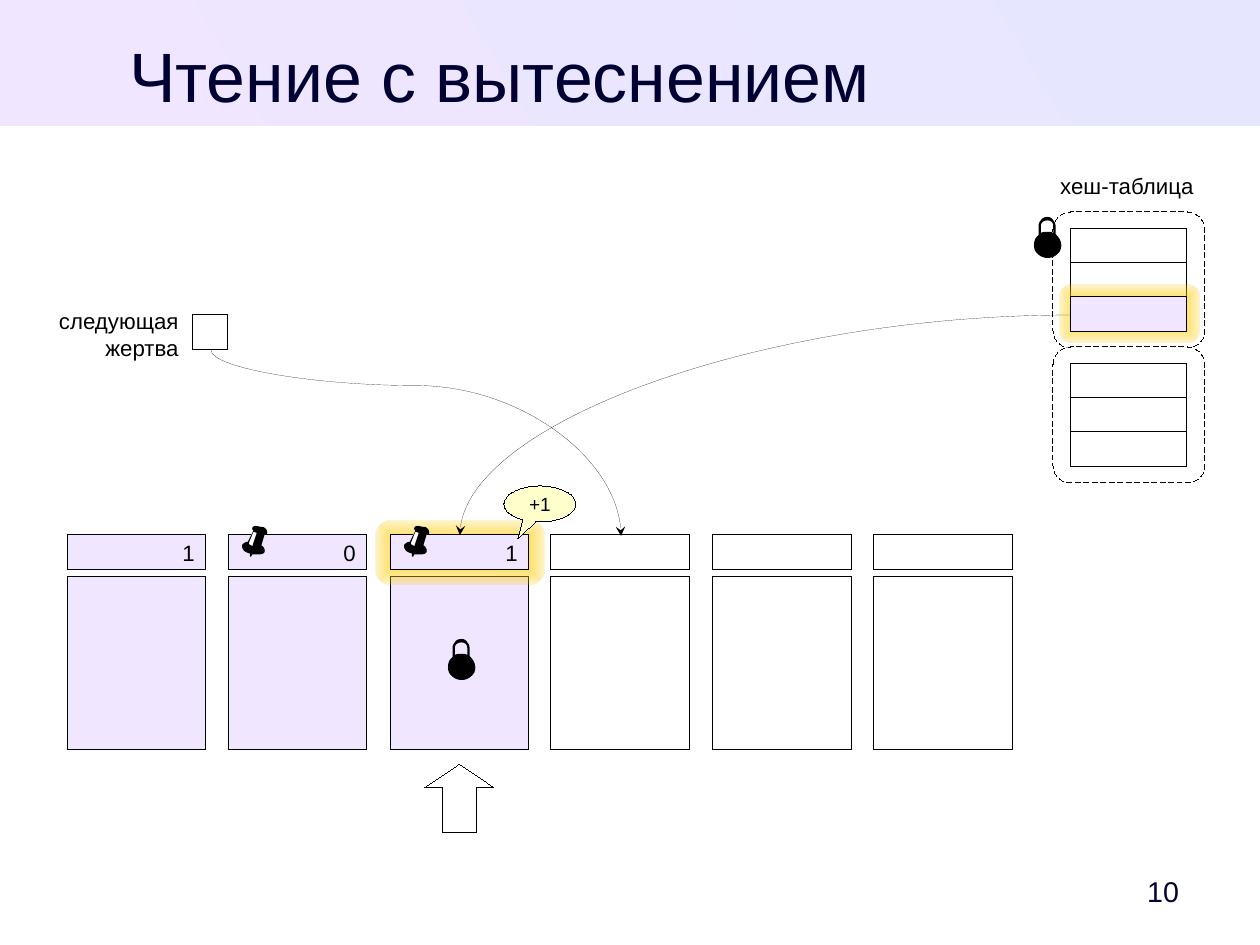
from lxml.etree import SubElement
from pptx import Presentation
from pptx.dml.color import RGBColor
from pptx.enum.dml import MSO_LINE
from pptx.enum.shapes import MSO_CONNECTOR, MSO_SHAPE
from pptx.enum.text import MSO_ANCHOR, MSO_AUTO_SIZE, PP_ALIGN
from pptx.oxml import parse_xml
from pptx.oxml.ns import nsdecls, qn
from pptx.util import Pt

PX = 8000
ZOOM = 1.14
LILAC, WHITE, BLACK, NAVY = "F0E6FF", "FFFFFF", "000000", "000033"

GLOW = f"""<a:gradFill {nsdecls("a")} rotWithShape="1"><a:gsLst>
<a:gs pos="0"><a:srgbClr val="FFCC00"/></a:gs>
<a:gs pos="100000"><a:srgbClr val="FFCC00"><a:alpha val="20000"/></a:srgbClr></a:gs>
</a:gsLst><a:path path="rect">
<a:fillToRect l="50000" t="50000" r="50000" b="50000"/></a:path></a:gradFill>"""

PIN = [
    [(8, 27), (7, 27), (7, 24), (5, 24, 4, 23, 2, 22), (1, 21, 0, 19, 0, 18),
     (0, 17, 0, 16, 2, 15), (3, 14, 4, 14, 5, 14), (10, 4), (9, 3, 9, 3, 9, 2),
     (9, 1, 10, 0, 12, 0), (14, 0, 16, 1, 19, 1), (21, 2, 22, 4, 22, 5),
     (22, 6, 22, 6, 22, 7), (21, 7, 21, 7, 20, 7), (17, 17),
     (19, 18, 20, 20, 20, 22), (20, 24, 18, 25, 14, 25), (12, 25, 11, 25, 9, 25)],
    [(6, 15), (6, 16, 6, 16, 8, 17), (8, 17, 9, 18, 9, 18), (13, 6), (10, 5)],
]
LOCK = [
    [(24, 25), (24, 28, 23, 31, 20, 33), (18, 35, 15, 36, 12, 36),
     (9, 36, 6, 35, 4, 33), (1, 31, 0, 28, 0, 25), (0, 21, 1, 18, 4, 16), (4, 8),
     (4, 6, 5, 4, 6, 3), (7, 1, 9, 0, 12, 0), (14, 0, 16, 1, 17, 3),
     (18, 4, 19, 6, 19, 8), (19, 15), (22, 18, 24, 21, 24, 25)],
    [(17, 14), (17, 8), (17, 5, 15, 3, 12, 3), (8, 3, 6, 5, 6, 8), (6, 14),
     (8, 13, 10, 13, 12, 13), (14, 13, 15, 13, 17, 14)],
]


def px(*sizes):
    return [round(size * PX) for size in sizes]


def paint(target, color):
    target.solid()
    target.fore_color.rgb = RGBColor.from_string(color)


def hair(shape):
    paint(shape.line.fill, BLACK)
    stroke = shape.element.spPr.find(qn("a:ln"))
    stroke.set("w", "0")
    return stroke


def write(shape, text, size, color=BLACK, align=PP_ALIGN.LEFT, wrap=True):
    frame = shape.text_frame
    frame.text = text
    frame.word_wrap = wrap
    for para in frame.paragraphs:
        para.alignment = align
        para.font.name = "Arial"
        para.font.size = Pt(size)
        para.font.color.rgb = RGBColor.from_string(color)
    return frame


def draw(slide, box, fill=WHITE, kind=MSO_SHAPE.RECTANGLE, adjust=(), line=True):
    shape = slide.shapes.add_shape(kind, *px(*box))
    shape.shadow.inherit = False
    paint(shape.fill, fill)
    if line:
        hair(shape)
    else:
        shape.line.fill.background()
    for index, value in enumerate(adjust):
        shape.adjustments[index] = value
    return shape


def label(slide, box, text, size, color, align, wrap=False):
    frame = write(slide.shapes.add_textbox(*px(*box)), text, size, color, align, wrap)
    frame.auto_size = MSO_AUTO_SIZE.SHAPE_TO_FIT_TEXT
    return frame


def trace(loop):
    points = [loop[0]]
    for step in loop[1:]:
        if len(step) == 2:
            points.append(step)
            continue
        ends = points[-1], step[:2], step[2:4], step[4:]
        for t in (0.25, 0.5, 0.75, 1):
            u = 1 - t
            parts = u ** 3, 3 * u * u * t, 3 * u * t * t, t ** 3
            points.append(tuple(sum(k * p[axis] for k, p in zip(parts, ends))
                                for axis in (0, 1)))
    return [px(x * ZOOM, y * ZOOM) for x, y in points]


def icon(slide, left, top, loops):
    first, hole = map(trace, loops)
    pen = slide.shapes.build_freeform(*first[0], scale=1.0)
    pen.add_line_segments(first[1:])
    pen.move_to(*hole[0])
    pen.add_line_segments(hole[1:])
    shape = pen.convert_to_shape(*px(left, top))
    shape.shadow.inherit = False
    paint(shape.fill, BLACK)
    shape.line.fill.background()


def pin(slide, left, top):
    back = draw(slide, (left + 8, top + 4, 8, 16), line=False)
    back.rotation = 24.8
    icon(slide, left, top, PIN)


def glow(slide, box, adjust):
    shape = draw(slide, box, kind=MSO_SHAPE.ROUNDED_RECTANGLE, adjust=[adjust], line=False)
    solid = shape.element.spPr.find(qn("a:solidFill"))
    solid.getparent().replace(solid, parse_xml(GLOW))


def header(slide, box):
    left, top, width, height = box
    band = draw(slide, box, line=False)
    band.fill.gradient()
    band.fill.gradient_angle = 210
    for stop, color in zip(band.fill.gradient_stops, ("E6E6FF", LILAC)):
        stop.color.rgb = RGBColor.from_string(color)
    title = slide.shapes.title
    title.element.addprevious(band.element)
    title.left, title.top, title.width, title.height = px(left + 54, top + 33, 892, 79)
    frame = write(title, "Чтение с вытеснением", 44, NAVY, PP_ALIGN.CENTER)
    frame.vertical_anchor = MSO_ANCHOR.TOP
    frame.margin_left = frame.margin_right = frame.margin_top = frame.margin_bottom = 0


def buffer(slide, box, count, hot):
    left, top, width, height = box
    fill = LILAC if count else WHITE
    draw(slide, (left, top + 42, width, height - 42), fill)
    if hot:
        glow(slide, (left - 14, top - 14, width + 29, 63), 0.252)
    head = draw(slide, (left, top, width, 35), fill)
    if count:
        frame = write(head, count, 14, align=PP_ALIGN.RIGHT)
        frame.vertical_anchor = MSO_ANCHOR.MIDDLE


def cache(slide, box):
    left, top, width, height = box
    for index, count in enumerate(("1", "0", "1", "", "", "")):
        place = left + round((width - 139) * index / 5)
        buffer(slide, (place, top, 139, height), count, index == 2)
        if index in (1, 2):
            pin(slide, place + 14, top - 9)
    icon(slide, left + 381, top + 104, LOCK)
    draw(slide, (left + 358, top + 229, 69, 69), kind=MSO_SHAPE.UP_ARROW,
         adjust=(0.503, 0.339))
    bubble = draw(slide, (left + 437, top - 49, 72, 36), "FFFFCC",
                  MSO_SHAPE.OVAL_CALLOUT, (-0.306, 0.958))
    frame = write(bubble, "+1", 12, align=PP_ALIGN.CENTER, wrap=False)
    frame.vertical_anchor = MSO_ANCHOR.MIDDLE


def hashes(slide, box):
    left, top, width, height = box
    label(slide, (left - 4, top - 45, 156, 37), "хеш-таблица", 14, BLACK, PP_ALIGN.LEFT)
    for index, rows in enumerate((2, 3)):
        base = top + 135 * index
        frame = draw(slide, (left, base, width, height // 2),
                     kind=MSO_SHAPE.ROUNDED_RECTANGLE, adjust=[0.131])
        frame.line.dash_style = MSO_LINE.DASH
        for row in range(rows):
            draw(slide, (left + 18, base + 17 + 34 * row, 116, 35))
    icon(slide, left - 19, top + 5, LOCK)


def match(slide, box):
    left, top, width, height = box
    glow(slide, (left - 11, top - 12, width + 23, height + 22), 0.224)
    draw(slide, box, LILAC)


def victim(slide, box):
    left, top, width, height = box
    label(slide, (left, top, 143, height), "следующая\nжертва", 14, BLACK, PP_ALIGN.RIGHT)
    draw(slide, (left + 146, top + 13, 35, 35))


def link(slide, ends, kind, turn=0, bend=None):
    curve = slide.shapes.add_connector(MSO_CONNECTOR.CURVE, *px(*ends))
    stroke = hair(curve)
    props = curve.element.spPr
    props.find(qn("a:xfrm")).set("rot", str(turn * 60000))
    shape = props.find(qn("a:prstGeom"))
    shape.set("prst", kind)
    if bend:
        SubElement(shape.find(qn("a:avLst")), qn("a:gd"), name="adj1", fmla=f"val {bend}")
    SubElement(stroke, qn("a:tailEnd"), type="stealth")
    SubElement(props, qn("a:effectLst"))


def footer(slide, box):
    frame = label(slide, box, "10", 18, NAVY, PP_ALIGN.CENTER, True)
    frame.vertical_anchor = MSO_ANCHOR.MIDDLE
    frame.margin_right = 0


def main():
    deck = Presentation()
    deck.slide_width, deck.slide_height = px(1260, 945)
    slide = deck.slides.add_slide(deck.slide_layouts[5])
    header(slide, (0, 0, 1260, 126))
    footer(slide, (1108, 864, 99, 54))
    cache(slide, (67, 535, 946, 215))
    hashes(slide, (1053, 212, 152, 272))
    victim(slide, (47, 302, 181, 62))
    link(slide, (509, 238, 323, 648), "curvedConnector3", 270, 19100)
    link(slide, (1071, 315, 460, 535), "curvedConnector2")
    match(slide, (1071, 297, 116, 35))
    deck.save("out.pptx")


if __name__ == "__main__":
    main()
